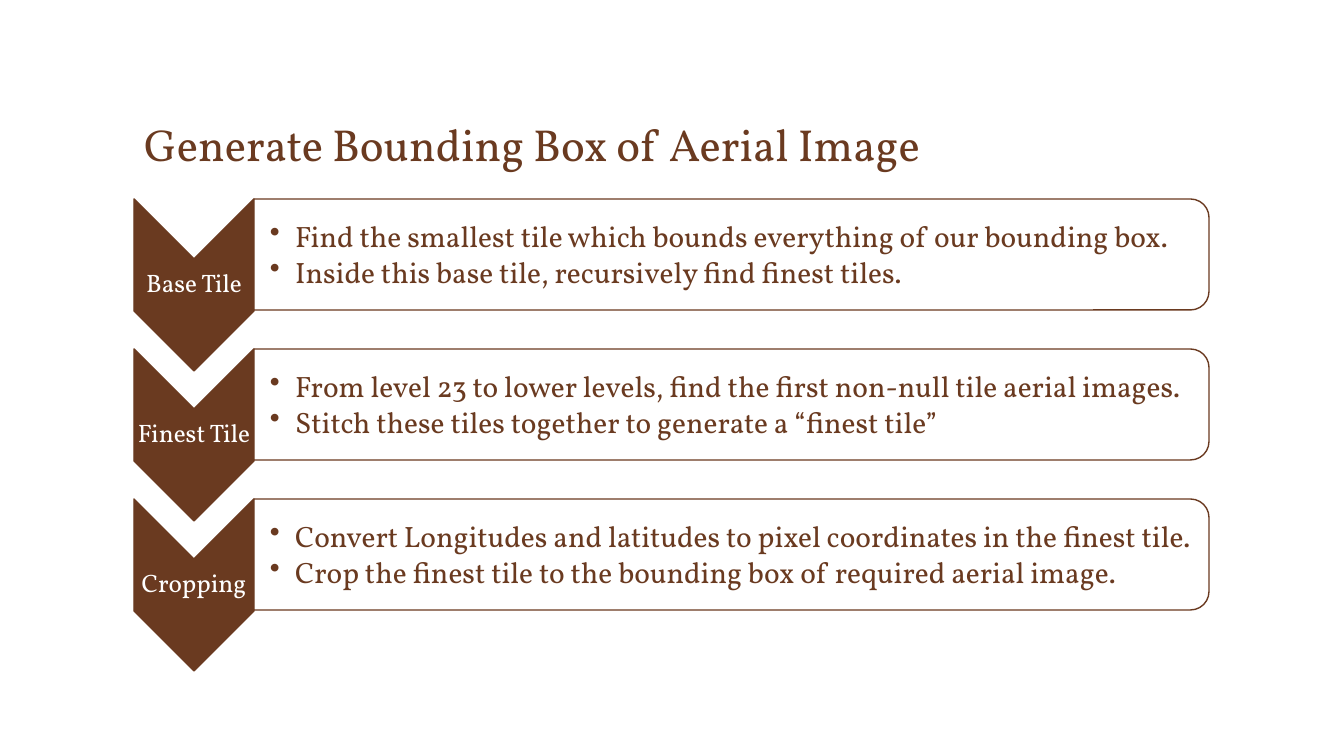
from lxml import etree
from pptx import Presentation
from pptx.dml.color import RGBColor
from pptx.enum.shapes import MSO_SHAPE
from pptx.enum.text import MSO_ANCHOR, MSO_AUTO_SIZE, PP_ALIGN
from pptx.oxml.ns import qn
from pptx.util import Pt

PX = 12192000 / 1344
CHEVRON, CARD = MSO_SHAPE.CHEVRON, MSO_SHAPE.ROUND_2_SAME_RECTANGLE
MIDDLE, BOTTOM = MSO_ANCHOR.MIDDLE, MSO_ANCHOR.BOTTOM
LEFT, CENTER = PP_ALIGN.LEFT, PP_ALIGN.CENTER
COLORS = {"brown": "6A3A20", "white": "FFFFFF"}
ROW_TOP, ROW_PITCH = 199, 150
STEPS = [
    ("Base Tile", [
        "Find the smallest tile which bounds everything of our bounding box.",
        "Inside this base tile, recursively find finest tiles."]),
    ("Finest Tile", [
        "From level 23 to lower levels, find the first non-null tile aerial images.",
        "Stitch these tiles together to generate a “finest tile”"]),
    ("Cropping", [
        "Convert Longitudes and latitudes to pixel coordinates in the finest tile.",
        "Crop the finest tile to the bounding box of required aerial image."]),
]


def emu(*lengths):
    return [round(n * PX) for n in lengths]


def write(tf, lines, size, color, align, anchor, after=0):
    tf.word_wrap, tf.auto_size, tf.vertical_anchor = True, MSO_AUTO_SIZE.NONE, anchor
    for i, line in enumerate(lines):
        p = tf.paragraphs[0] if i == 0 else tf.add_paragraph()
        p.alignment, p.line_spacing, p.space_after = align, 0.9, Pt(after)
        r = p.add_run()
        r.text = line
        r.font.name, r.font.size = "Vollkorn", Pt(size)
        r.font.color.rgb = RGBColor.from_string(COLORS[color])


prs = Presentation()
prs.slide_width, prs.slide_height = emu(1344, 756)
s = prs.slides.add_slide(prs.slide_layouts[5])

title = s.shapes.title
title.left, title.top, title.width, title.height = emu(134, 47, 1075, 129)
write(title.text_frame, ["Generate Bounding Box of Aerial Image"], 32, "brown", LEFT, BOTTOM)

for row, (name, points) in enumerate(STEPS):
    top = ROW_TOP + row * ROW_PITCH

    # Both shapes are turned a quarter, so length runs down for one and across for the other.
    for kind, x, y, w, h, fill in [
        (CHEVRON, 108, 26, 172, 120, "brown"),
        (CARD, 676, -422, 111, 955, "white"),
    ]:
        sp = s.shapes.add_shape(kind, *emu(x, top + y, w, h))
        sp.rotation = 90
        sp.shadow.inherit = False
        sp.fill.solid()
        sp.fill.fore_color.rgb = RGBColor.from_string(COLORS[fill])
        sp.line.color.rgb = RGBColor.from_string(COLORS["brown"])
        sp.line.width = Pt(1)
        if kind == CARD:
            color = sp.fill._xPr.find(qn("a:solidFill"))[0]
            etree.SubElement(color, qn("a:alpha"), val="90000")

    for lines, x, y, w, h, inset, style in [
        ([name], 134, 60, 120, 51, 1, (18, "white", CENTER, MIDDLE, 6)),
        (points, 254, 6, 950, 101, 16, (21, "brown", LEFT, MIDDLE, 3)),
    ]:
        tf = s.shapes.add_textbox(*emu(x, top + y, w, h)).text_frame
        tf.margin_left, tf.margin_top, tf.margin_right, tf.margin_bottom = emu(inset, 1, 1, 1)
        write(tf, lines, *style)

    for p in tf.paragraphs:
        pPr = p._p.get_or_add_pPr()
        pPr.set("marL", "228600")
        pPr.set("indent", "-228600")
        etree.SubElement(pPr, qn("a:buChar"), char="•")

prs.save("out.pptx")
